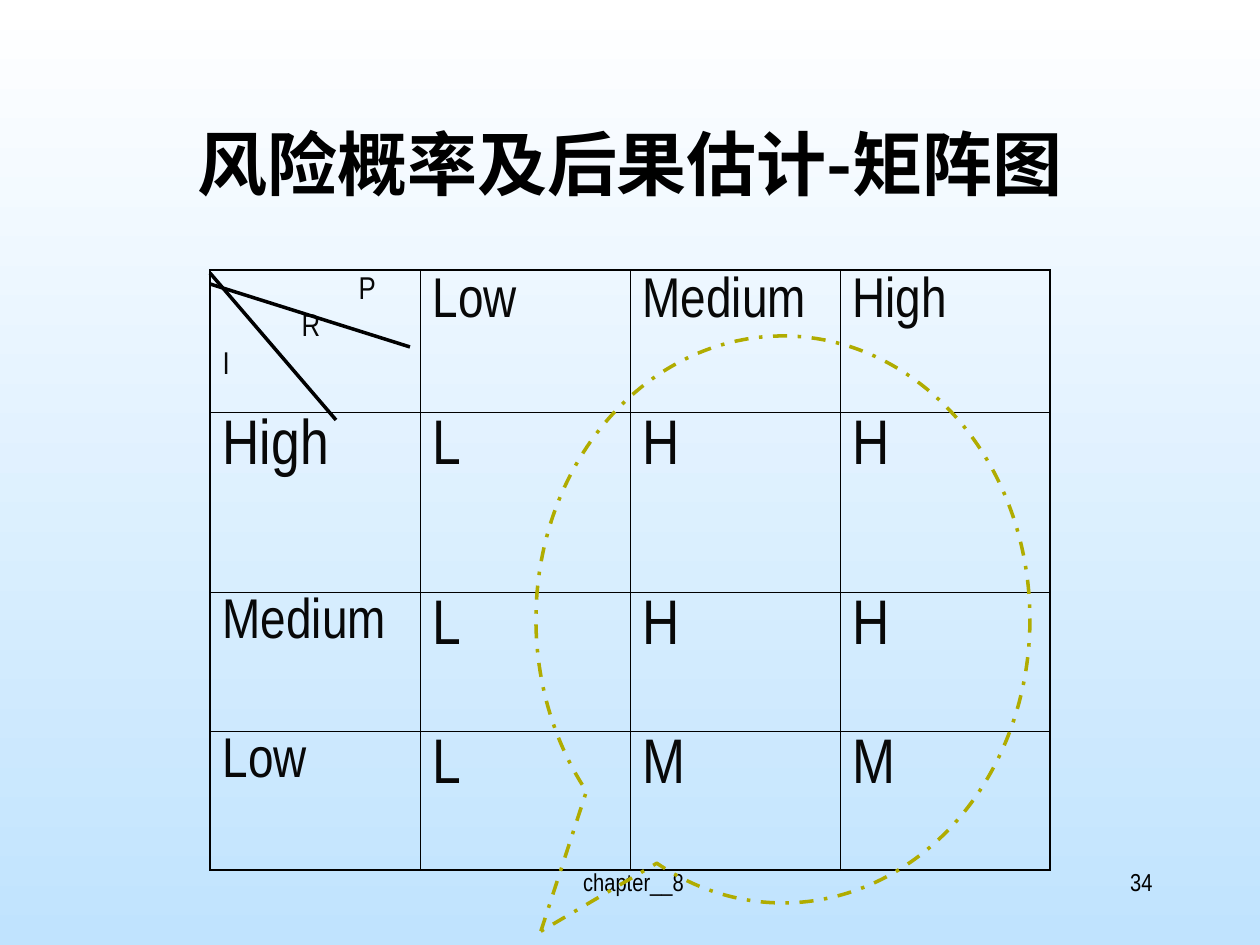
from lxml import etree
from pptx import Presentation
from pptx.dml.color import RGBColor
from pptx.enum.dml import MSO_LINE
from pptx.enum.shapes import MSO_CONNECTOR, MSO_SHAPE
from pptx.enum.text import MSO_ANCHOR, PP_ALIGN
from pptx.oxml.ns import qn
from pptx.util import Pt

PX = 914400 // 126
BLACK = RGBColor(0x00, 0x00, 0x00)
INK = RGBColor(0x08, 0x08, 0x08)
OLIVE = RGBColor(0xB0, 0xAC, 0x00)
WHITE = RGBColor(0xFF, 0xFF, 0xFF)
SKY = RGBColor(0xC0, 0xE3, 0xFE)
LATIN = "Arial Narrow"
HAN = "Noto Sans CJK SC"
CENTER, RIGHT = PP_ALIGN.CENTER, PP_ALIGN.RIGHT
STRAIGHT = MSO_CONNECTOR.STRAIGHT
CALLOUT = MSO_SHAPE.OVAL_CALLOUT
DASH_DOT = MSO_LINE.DASH_DOT


def style(paragraph, size, color=BLACK, font=LATIN):
    paragraph.font.size = Pt(size)
    paragraph.font.name = font
    paragraph.font.color.rgb = color


def border(cell, side, points):
    line = etree.SubElement(cell._tc.get_or_add_tcPr(), qn(f"a:ln{side}"), w=str(Pt(points)))
    fill = etree.SubElement(line, qn("a:solidFill"))
    etree.SubElement(fill, qn("a:srgbClr"), val=str(BLACK))


prs = Presentation()
prs.slide_width, prs.slide_height = 1260 * PX, 945 * PX
slide = prs.slides.add_slide(prs.slide_layouts[5])

# Background fading from white down to sky blue
backdrop = slide.background.fill
backdrop.gradient()
backdrop.gradient_angle = 270
for stop, color, position in zip(backdrop.gradient_stops, (WHITE, SKY), (0, 1)):
    stop.color.rgb = color
    stop.position = position

# Title
title = slide.shapes.title
title.left, title.top, title.width, title.height = 95 * PX, 84 * PX, 1070 * PX, 158 * PX
title.text_frame.text = "风险概率及后果估计-矩阵图"
title.text_frame.vertical_anchor = MSO_ANCHOR.MIDDLE
heading = title.text_frame.paragraphs[0]
heading.alignment = CENTER
style(heading, 40, font=HAN)
heading.font.bold = True
etree.SubElement(heading._p.pPr.find(qn("a:defRPr")), qn("a:ea"), typeface=HAN)

# Footer and page number
for text, left, width, alignment in (("chapter__8", 434, 399, CENTER), ("34", 903, 262, RIGHT)):
    footer = slide.shapes.add_textbox(left * PX, 861 * PX, width * PX, 63 * PX).text_frame
    footer.word_wrap = True
    footer.text = text
    footer.paragraphs[0].alignment = alignment
    style(footer.paragraphs[0], 14)

# Risk matrix: row height, label size, texts
MATRIX = (
    (142, 18, ("P\nR\nI", "Low", "Medium", "High")),
    (180, 36, ("High", "L", "H", "H")),
    (139, 32, ("Medium", "L", "H", "H")),
    (139, 32, ("Low", "L", "M", "M")),
)
AXIS_INDENTS = (136, 79, 0)
matrix = slide.shapes.add_table(4, 4, 210 * PX, 270 * PX, 840 * PX, 600 * PX).table
matrix.first_row = matrix.horz_banding = False
for column in matrix.columns:
    column.width = 210 * PX
for r, (height, label_size, texts) in enumerate(MATRIX):
    matrix.rows[r].height = height * PX
    for c, text in enumerate(texts):
        cell = matrix.cell(r, c)
        cell.text = text
        size = label_size if c == 0 else 32 if r == 0 else 36
        for n, paragraph in enumerate(cell.text_frame.paragraphs):
            if n:
                paragraph.space_before = Pt(4.5)
            if r == c == 0:
                paragraph._p.get_or_add_pPr().set("marL", str(AXIS_INDENTS[n] * PX))
            style(paragraph, size, INK)
        outer_edges = {"L": c == 0, "R": c == 3, "T": r == 0, "B": r == 3}
        for side, is_outer in outer_edges.items():
            border(cell, side, 1.08 if is_outer else 0.45)
        cell.fill.background()

# Lines dividing the corner cell
for y1, x2, y2 in ((273, 336, 420), (284, 410, 347)):
    divider = slide.shapes.add_connector(STRAIGHT, 210 * PX, y1 * PX, x2 * PX, y2 * PX)
    divider.line.color.rgb = BLACK
    divider.line.width = Pt(2)
    etree.SubElement(divider._element.spPr, qn("a:effectLst"))

# Callout around the high risks
high_risks = slide.shapes.add_shape(CALLOUT, 536 * PX, 336 * PX, 494 * PX, 567 * PX)
high_risks.adjustments[0] = -0.49
high_risks.adjustments[1] = 0.55
high_risks.shadow.inherit = False
high_risks.fill.background()
high_risks.line.color.rgb = OLIVE
high_risks.line.width = Pt(2)
high_risks.line.dash_style = DASH_DOT

prs.save("out.pptx")
